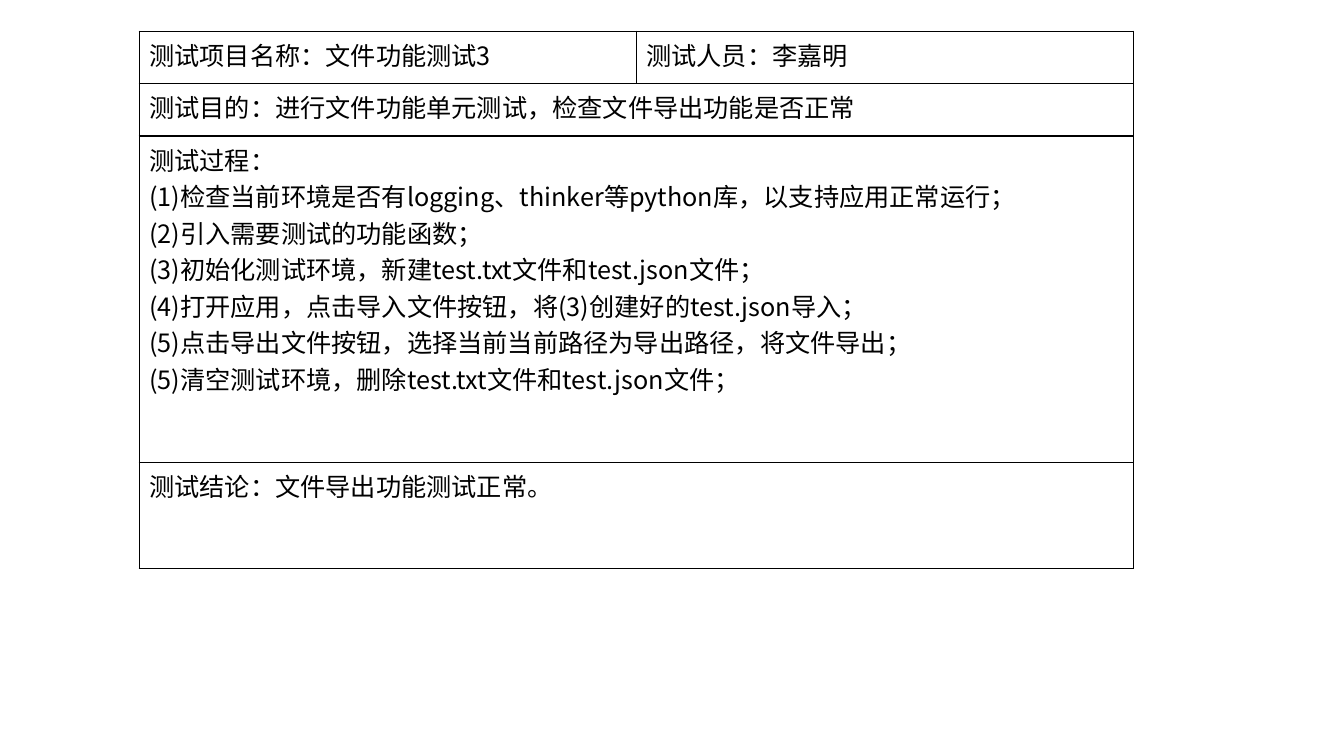
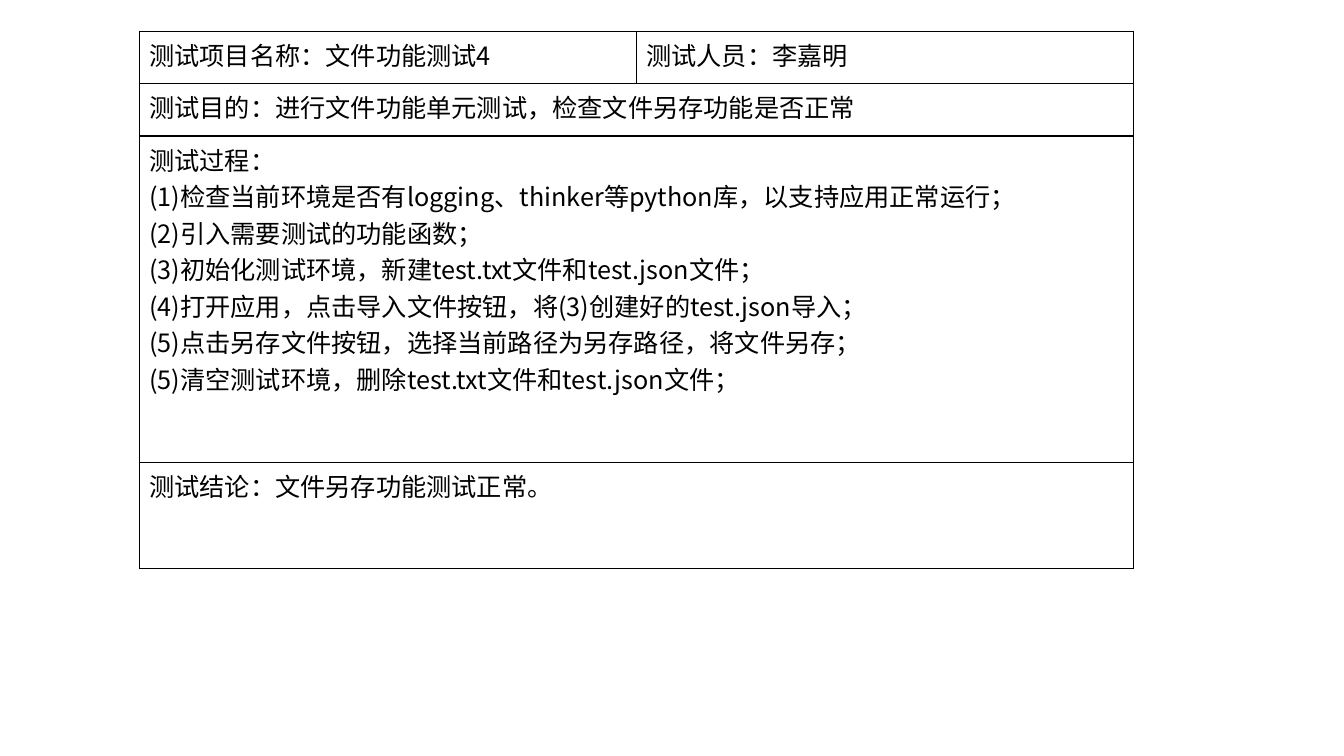
from lxml import etree
from pptx import Presentation
from pptx.dml.color import RGBColor
from pptx.oxml.ns import qn
from pptx.util import Inches, Pt

FONT = "Noto Sans CJK SC"
BLACK = "000000"
COL_WIDTH = 4.93
ROW_HEIGHTS = [0.52, 0.52, 3.24, 1.05]

# What differs between the two test reports
REPORTS = [
    {"number": 3, "action": "导出", "folder": "当前当前路径"},
    {"number": 4, "action": "另存", "folder": "当前路径"},
]


def rgb(value):
    return RGBColor.from_string(value)


def style_cell(cell):
    # Borders come before the fill in the cell properties
    tcPr = cell._tc.get_or_add_tcPr()
    for side in ("lnL", "lnR", "lnT", "lnB"):
        ln = etree.SubElement(tcPr, qn("a:" + side), w=str(Pt(1)))
        fill = etree.SubElement(ln, qn("a:solidFill"))
        etree.SubElement(fill, qn("a:srgbClr"), val=BLACK)
    cell.fill.background()
    for p in cell.text_frame.paragraphs:
        for r in p.runs:
            for name, value in {"name": FONT, "size": Pt(18), "bold": False}.items():
                setattr(r.font, name, value)
            r.font.color.rgb = rgb(BLACK)
            latin = r._r.rPr.find(qn("a:latin"))
            ea = etree.Element(qn("a:ea"), typeface=FONT)
            latin.addnext(ea)


prs = Presentation()
prs.slide_width, prs.slide_height = Inches(13.33), Inches(7.5)

for report in REPORTS:
    slide = prs.slides.add_slide(prs.slide_layouts[6])
    action = report["action"]

    # Report text, row by row
    steps = [
        "测试过程：",
        "(1)检查当前环境是否有logging、thinker等python库，以支持应用正常运行；",
        "(2)引入需要测试的功能函数；",
        "(3)初始化测试环境，新建test.txt文件和test.json文件；",
        "(4)打开应用，点击导入文件按钮，将(3)创建好的test.json导入；",
        f"(5)点击{action}文件按钮，选择{report['folder']}为{action}路径，将文件{action}；",
        "(5)清空测试环境，删除test.txt文件和test.json文件；",
    ]
    rows = [
        [f"测试项目名称：文件功能测试{report['number']}", "测试人员：李嘉明"],
        [f"测试目的：进行文件功能单元测试，检查文件{action}功能是否正常"],
        ["\n".join(steps)],
        [f"测试结论：文件{action}功能测试正常。"],
    ]

    # Report table
    table = slide.shapes.add_table(
        len(rows), 2, Inches(1.38), Inches(0.31),
        Inches(2 * COL_WIDTH), Inches(sum(ROW_HEIGHTS))).table
    table.first_row = table.horz_banding = False
    for column in table.columns:
        column.width = Inches(COL_WIDTH)
    for i, texts in enumerate(rows):
        table.rows[i].height = Inches(ROW_HEIGHTS[i])
        if len(texts) == 1:
            table.cell(i, 0).merge(table.cell(i, 1))
        for j, text in enumerate(texts):
            table.cell(i, j).text = text
        for cell in table.rows[i].cells:
            style_cell(cell)

prs.save("out.pptx")
